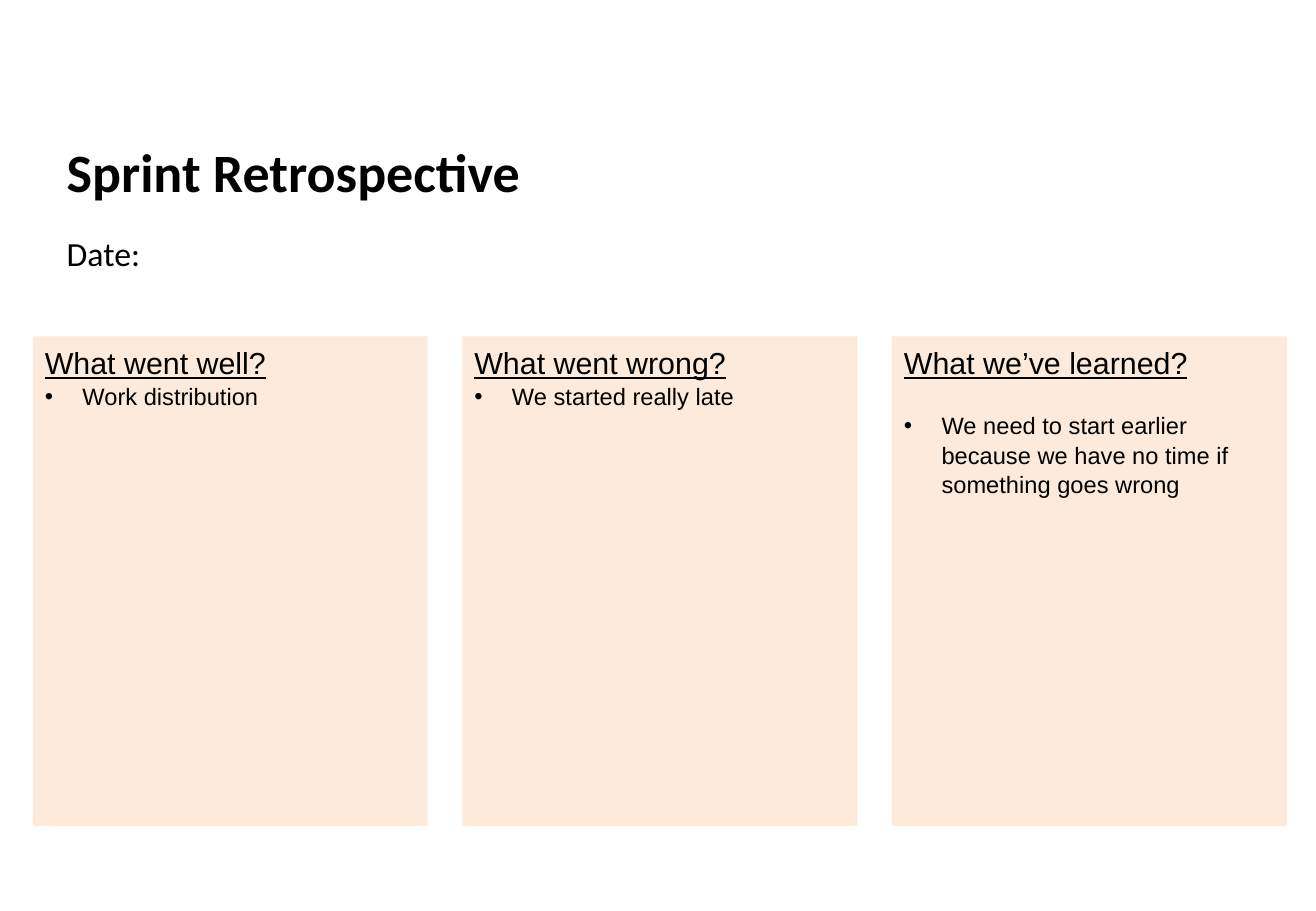
from lxml import etree
from pptx import Presentation
from pptx.dml.color import RGBColor
from pptx.enum.shapes import MSO_SHAPE as SHAPE
from pptx.enum.text import MSO_ANCHOR as ANCHOR, PP_ALIGN as ALIGN
from pptx.oxml.ns import qn
from pptx.util import Inches, Pt

COLORS = {"text": "000000", "panel": "FDEADA"}
PANELS = [
    ("What went well?", "Work distribution", 0),
    ("What went wrong?", "We started really late", 0),
    ("What we’ve learned?",
     "We need to start earlier because we have no time if something goes wrong", 17),
]


class RetroSlide:
    heading_font = "Calibri"
    panel_font = "Arial"
    indent = Inches(0.31)

    def __init__(self, prs):
        self.slide = prs.slides.add_slide(prs.slide_layouts[6])

    def style(self, p, font, size, bold=False, underline=False):
        p.alignment = ALIGN.LEFT
        for r in p.runs:
            r.font.name = font
            r.font.size = Pt(size)
            r.font.bold = bold
            r.font.underline = underline
            r.font.color.rgb = RGBColor.from_string(COLORS["text"])

    def bullet(self, p):
        pPr = p._p.get_or_add_pPr()
        pPr.set("marL", str(self.indent))
        pPr.set("indent", str(-self.indent))
        etree.SubElement(pPr, qn("a:buFont"), typeface=self.panel_font)
        etree.SubElement(pPr, qn("a:buChar"), char="•")

    def text(self, words, x, y, w, h, size, bold=False, anchor=ANCHOR.TOP):
        box = self.slide.shapes.add_textbox(Inches(x), Inches(y), Inches(w), Inches(h))
        tf = box.text_frame
        tf.word_wrap = True
        tf.vertical_anchor = anchor
        tf.text = words
        self.style(tf.paragraphs[0], self.heading_font, size, bold)

    def panel(self, heading, note, gap, x, y, w, h):
        sp = self.slide.shapes.add_shape(
            SHAPE.RECTANGLE, Inches(x), Inches(y), Inches(w), Inches(h))
        sp.shadow.inherit = False
        sp.fill.solid()
        sp.fill.fore_color.rgb = RGBColor.from_string(COLORS["panel"])
        sp.line.fill.background()
        tf = sp.text_frame
        tf.word_wrap = True
        tf.vertical_anchor = ANCHOR.TOP
        tf.text = heading
        self.style(tf.paragraphs[0], self.panel_font, 18, underline=True)
        p = tf.add_paragraph()
        p.text = note
        self.style(p, self.panel_font, 14)
        p.space_before = Pt(gap)
        self.bullet(p)
        for p in tf.paragraphs:
            p.line_spacing = 1.05


def main():
    prs = Presentation()
    prs.slide_width, prs.slide_height = Inches(10.83), Inches(7.5)
    s = RetroSlide(prs)
    s.text("Sprint Retrospective", 0.45, 1.09, 9.89, 0.63, 32, True, ANCHOR.MIDDLE)
    s.text("Date:", 0.45, 1.87, 9.89, 5.02, 20)
    for i, (heading, note, gap) in enumerate(PANELS):
        s.panel(heading, note, gap, 0.27 + i * 3.535, 2.77, 3.25, 4.03)
    prs.save("out.pptx")


if __name__ == "__main__":
    main()
